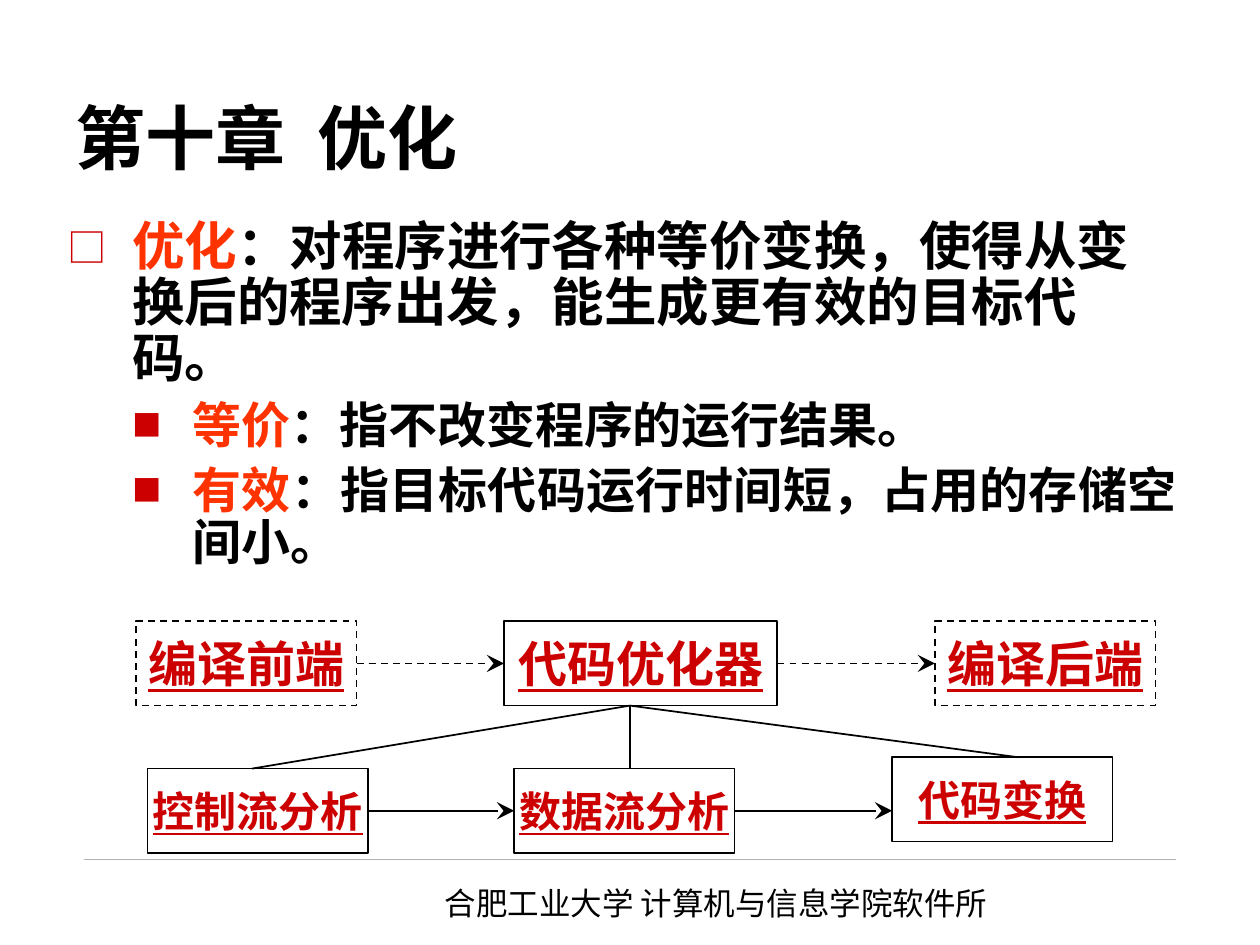
from dataclasses import dataclass

from lxml.etree import SubElement
from pptx import Presentation
from pptx.dml.color import RGBColor
from pptx.enum.dml import MSO_LINE
from pptx.enum.shapes import MSO_CONNECTOR, MSO_SHAPE
from pptx.enum.text import MSO_ANCHOR, PP_ALIGN
from pptx.oxml.ns import qn
from pptx.util import Inches, Pt


@dataclass(frozen=True)
class Theme:
    ink: str = "000000"
    accent: str = "CC0000"
    term: str = "FF3300"
    rule: str = "B2B2B2"
    cjk: str = "Noto Sans CJK SC"
    label: str = "Times New Roman"
    title: int = 40
    lead: int = 30
    point: int = 28
    step: int = 24
    footer: int = 18


def apply(target, values):
    for name, value in values.items():
        setattr(target, name, value)


class SlideBuilder:
    def __init__(self, slide, theme):
        self.slide = slide
        self.theme = theme

    def run(self, paragraph, text, size, color, face=None, **style):
        run = paragraph.add_run()
        run.text = text
        apply(run.font, {"size": Pt(size), "name": face or self.theme.cjk, **style})
        run.font.color.rgb = RGBColor.from_string(color)
        SubElement(run.font._element, qn("a:ea"), typeface=self.theme.cjk)

    def title(self, text, left, top, width, height):
        heading = self.slide.shapes.title
        apply(heading, {"left": Inches(left), "top": Inches(top),
                        "width": Inches(width), "height": Inches(height)})
        apply(heading.text_frame, {"vertical_anchor": MSO_ANCHOR.BOTTOM, "word_wrap": True})
        paragraph = heading.text_frame.paragraphs[0]
        paragraph.alignment = PP_ALIGN.LEFT
        self.run(paragraph, text, self.theme.title, self.theme.ink, bold=True)

    def text_box(self, left, top, width, height):
        frame = self.slide.shapes.add_textbox(
            Inches(left), Inches(top), Inches(width), Inches(height)).text_frame
        frame.word_wrap = True
        return frame

    def bullet(self, paragraph, mark, scale, margin, hanging):
        properties = paragraph._p.get_or_add_pPr()
        properties.set("marL", str(Inches(margin)))
        properties.set("indent", str(-Inches(hanging)))
        properties.set("hangingPunct", "0")
        color = SubElement(properties, qn("a:buClr"))
        SubElement(color, qn("a:srgbClr"), val=self.theme.accent)
        SubElement(properties, qn("a:buSzPct"), val=str(scale * 1000))
        SubElement(properties, qn("a:buFont"), typeface=self.theme.cjk)
        SubElement(properties, qn("a:buChar"), char=mark)

    def definitions(self, lead, points, left, top, width, height):
        theme = self.theme
        frame = self.text_box(left, top, width, height)
        lead_format = {"line_spacing": Pt(32), "space_before": Pt(0)}
        point_format = {"level": 1, "alignment": PP_ALIGN.JUSTIFY,
                        "line_spacing": Pt(30), "space_before": Pt(7)}
        entries = [(lead, theme.lead, ("□", 75, 0.51, 0.54), lead_format)]
        entries += [(point, theme.point, ("■", 60, 0.99, 0.48), point_format)
                    for point in points]
        for index, ((term, meaning), size, mark, values) in enumerate(entries):
            paragraph = frame.add_paragraph() if index else frame.paragraphs[0]
            self.bullet(paragraph, *mark)
            apply(paragraph, values)
            self.run(paragraph, term, size, theme.term, bold=True)
            self.run(paragraph, meaning, size, theme.ink, bold=True)

    def footer(self, text, left, top, width, height):
        paragraph = self.text_box(left, top, width, height).paragraphs[0]
        self.run(paragraph, text, self.theme.footer, self.theme.ink)

    def outline(self, line, color, weight, dashed):
        line.color.rgb = RGBColor.from_string(color)
        line.width = Pt(weight)
        if dashed:
            line.dash_style = MSO_LINE.DASH

    def stage(self, text, size, left, top, width, height=0.67, dashed=False):
        box = self.slide.shapes.add_shape(
            MSO_SHAPE.RECTANGLE, Inches(left), Inches(top), Inches(width), Inches(height))
        box.shadow.inherit = False
        box.fill.background()
        self.outline(box.line, self.theme.ink, 1, dashed)
        apply(box.text_frame, {"word_wrap": False, "vertical_anchor": MSO_ANCHOR.MIDDLE})
        paragraph = box.text_frame.paragraphs[0]
        paragraph.alignment = PP_ALIGN.CENTER
        self.run(paragraph, text, size, self.theme.accent, self.theme.label,
                 bold=True, underline=True)
        return box

    def line(self, start, end, color=None, weight=1, dashed=False, arrow=False):
        link = self.slide.shapes.add_connector(MSO_CONNECTOR.STRAIGHT, *start, *end)
        self.outline(link.line, color or self.theme.ink, weight, dashed)
        if arrow:
            SubElement(link.line._get_or_add_ln(), qn("a:tailEnd"),
                       type="stealth", w="lg", len="lg")
        SubElement(link._element.spPr, qn("a:effectLst"))

    def flow(self, stages, dashed=False):
        for source, target in zip(stages, stages[1:]):
            middle = source.top + source.height // 2
            self.line((source.left + source.width, middle), (target.left, middle),
                      dashed=dashed, arrow=True)


def main():
    deck = Presentation()
    apply(deck, {"slide_width": Inches(10), "slide_height": Inches(7.5)})
    theme = Theme()
    page = SlideBuilder(deck.slides.add_slide(deck.slide_layouts[5]), theme)

    page.line((Inches(0.67), Inches(6.82)), (Inches(9.33), Inches(6.82)), theme.rule, 0.25)
    page.footer("合肥工业大学 计算机与信息学院软件所", 3.43, 6.97, 4.72, 0.4)
    page.title("第十章  优化", 0.5, 0.5, 9, 0.97)
    page.definitions(
        ("优化", "：对程序进行各种等价变换，使得从变换后的程序出发，能生成更有效的目标代码。"),
        [("等价", "：指不改变程序的运行结果。"),
         ("有效", "：指目标代码运行时间短，占用的存储空间小。")],
        0.44, 1.7, 9, 3.1)

    front_end = page.stage("编译前端", theme.point, 1.08, 4.93, 1.75, dashed=True)
    optimizer = page.stage("代码优化器", theme.point, 4, 4.93, 2.17)
    back_end = page.stage("编译后端", theme.point, 7.42, 4.93, 1.75, dashed=True)
    page.flow([front_end, optimizer, back_end], dashed=True)

    phases = [page.stage(text, theme.step, left, top, 1.75)
              for text, left, top in (("控制流分析", 1.17, 6.1),
                                      ("数据流分析", 4.08, 6.1),
                                      ("代码变换", 7.08, 6.01))]
    page.flow(phases)
    branch = (Inches(5), optimizer.top + optimizer.height)
    for phase, joint in zip(phases, (2, 5, 8.08)):
        page.line(branch, (Inches(joint), phase.top))

    deck.save("out.pptx")


if __name__ == "__main__":
    main()
